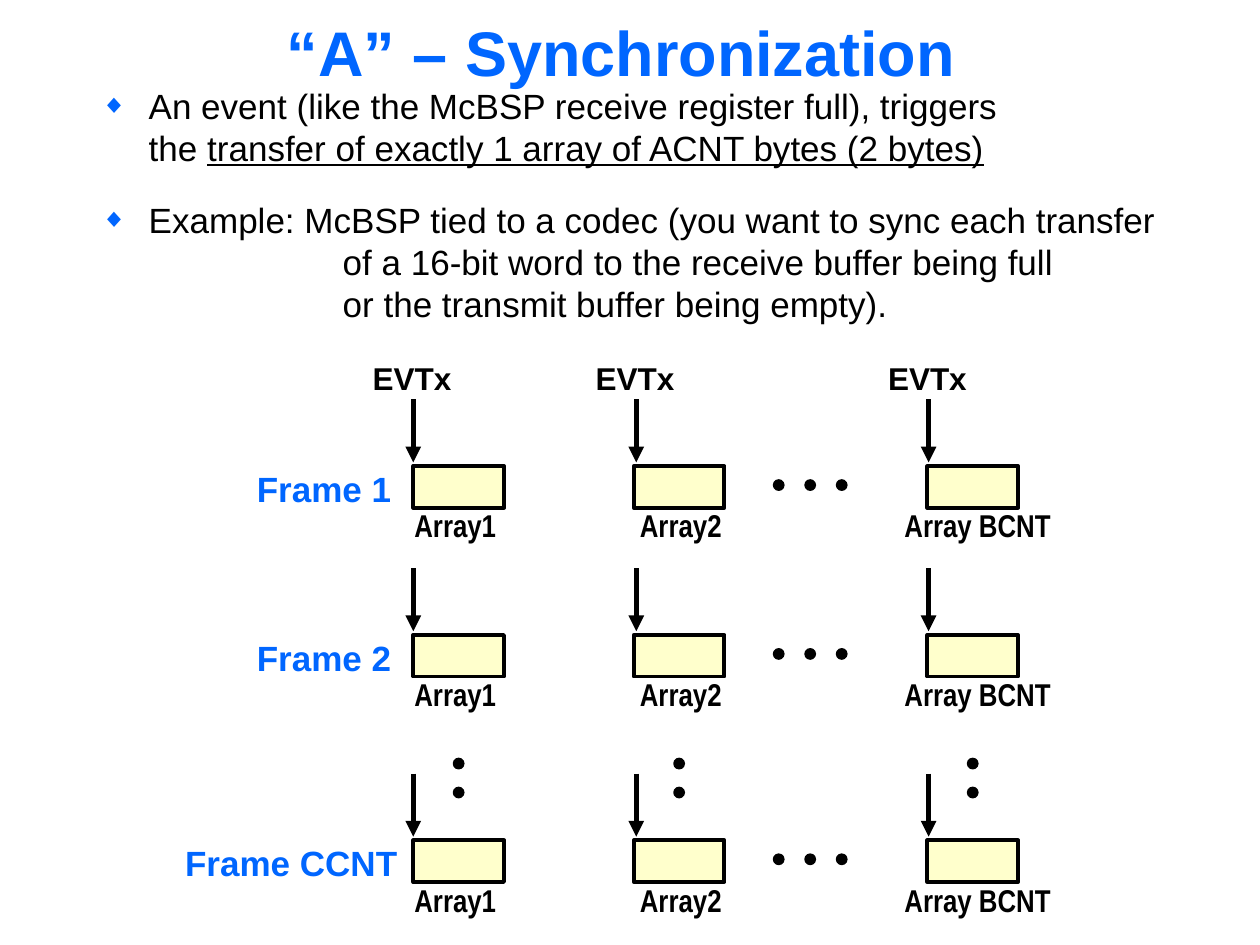
import pptx
import pptx.util
import pptx.dml.color
import pptx.enum.shapes
import pptx.enum.text
import pptx.oxml.ns
from lxml import etree

Inches, Pt = pptx.util.Inches, pptx.util.Pt
SHAPES = pptx.enum.shapes.MSO_SHAPE
COLORS = {"blue": "0066FF", "black": "000000", "cell": "FFFFCC"}

# Grid: (box left, arrow x, label left, label width, label)
COLUMNS = [
    (3.28, 3.28, 3.19, 0.99, "Array1"),
    (5.03, 5.05, 4.98, 0.99, "Array2"),
    (7.36, 7.37, 7.08, 1.50, "Array BCNT"),
]
# (box top, label left, label width, label)
ROWS = [
    (3.70, 1.94, 1.27, "Frame 1"),
    (5.04, 1.94, 1.27, "Frame 2"),
    (6.67, 1.37, 1.89, "Frame CCNT"),
]
BOX_WIDTH, BOX_HEIGHT = 0.72, 0.33
ARROW_RISE, ARROW_LENGTH = 0.53, 0.50
DOT = 0.08


def color(name):
    return pptx.dml.color.RGBColor.from_string(COLORS[name])


def add_xml(parent, tag, **attributes):
    return etree.SubElement(parent, pptx.oxml.ns.qn(tag), attributes)


def place(shape, left, top, width, height):
    shape.left, shape.top = Inches(left), Inches(top)
    shape.width, shape.height = Inches(width), Inches(height)


def add_run(paragraph, text, size, color_name="black", bold=False,
            font="Arial", underline=False):
    run = paragraph.add_run()
    run.text = text
    run.font.name, run.font.size = font, Pt(size)
    run.font.bold, run.font.underline = bold, underline
    run.font.color.rgb = color(color_name)


def add_label(slide, text, left, top, width, height, size,
              color_name="black", font="Arial", spacing=1.0):
    box = slide.shapes.add_textbox(
        Inches(left), Inches(top), Inches(width), Inches(height))
    box.text_frame.word_wrap = False
    paragraph = box.text_frame.paragraphs[0]
    paragraph.line_spacing = spacing
    add_run(paragraph, text, size, color_name, True, font)


def add_solid(slide, kind, left, top, width, height, fill, line_width):
    shape = slide.shapes.add_shape(
        kind, Inches(left), Inches(top), Inches(width), Inches(height))
    shape.shadow.inherit = False
    shape.fill.solid()
    shape.fill.fore_color.rgb = color(fill)
    shape.line.color.rgb = color("black")
    shape.line.width = Pt(line_width)


def add_dot(slide, left, top):
    add_solid(slide, SHAPES.OVAL, left, top, DOT, DOT, "black", 1)


def add_arrow(slide, x, top):
    arrow = slide.shapes.add_connector(
        pptx.enum.shapes.MSO_CONNECTOR.STRAIGHT,
        Inches(x), Inches(top), Inches(x), Inches(top + ARROW_LENGTH))
    arrow.line.color.rgb = color("black")
    arrow.line.width = Pt(3)
    add_xml(arrow.line._get_or_add_ln(), "a:tailEnd", type="triangle")
    add_xml(arrow._element.spPr, "a:effectLst")


def format_item(paragraph, margin, hanging, bullet, space_before=0):
    """Set the indent, spacing and bullet of one list paragraph."""
    properties = paragraph._p.get_or_add_pPr()
    properties.set("marL", str(Inches(margin)))
    properties.set("indent", str(-Inches(hanging)))
    paragraph.space_before = Pt(space_before)
    if bullet:
        bullet_color = add_xml(properties, "a:buClr")
        add_xml(bullet_color, "a:srgbClr", val=COLORS["blue"])
        add_xml(properties, "a:buSzPct", val="75000")
        add_xml(properties, "a:buFont", typeface="Arial")
        add_xml(properties, "a:buChar", char="◆")
    else:
        add_xml(properties, "a:buNone")


def fill_title(title):
    place(title, 0, 0, 9.86, 0.81)
    frame = title.text_frame
    frame.vertical_anchor = pptx.enum.text.MSO_ANCHOR.MIDDLE
    paragraph = frame.paragraphs[0]
    paragraph.alignment = pptx.enum.text.PP_ALIGN.CENTER
    add_run(paragraph, "“A” – Synchronization", 36, "blue", True)


def fill_body(body):
    place(body, 0.7, 0.62, 8.9, 2.01)
    frame = body.text_frame
    frame.word_wrap = True
    frame.auto_size = pptx.enum.text.MSO_AUTO_SIZE.NONE
    frame.vertical_anchor = pptx.enum.text.MSO_ANCHOR.TOP

    event = frame.paragraphs[0]
    format_item(event, 0.38, 0.38, True)
    add_run(event, "An event (like the McBSP receive register full), triggers", 20)
    event.add_line_break()
    add_run(event, "the ", 20)
    add_run(event, "transfer of exactly 1 array of ACNT bytes (2 bytes)", 20,
            underline=True)

    example = frame.add_paragraph()
    format_item(example, 0.38, 0.38, True, 17)
    add_run(example,
            "Example: McBSP tied to a codec (you want to sync each transfer", 20)

    detail = frame.add_paragraph()
    format_item(detail, 1.92, 0, False)
    add_run(detail, "of a 16-bit word to the receive buffer being full", 20)
    detail.add_line_break()
    add_run(detail, "or the transmit buffer being empty).", 20)


def add_frame_row(slide, top, label_left, label_width, label):
    add_label(slide, label, label_left, top - 0.04, label_width, 0.43, 20, "blue")
    for box_left, arrow_x, array_left, array_width, array in COLUMNS:
        add_arrow(slide, arrow_x, top - ARROW_RISE)
        add_solid(slide, SHAPES.RECTANGLE, box_left, top,
                  BOX_WIDTH, BOX_HEIGHT, "cell", 2.25)
        add_label(slide, array, array_left, top + 0.27, array_width, 0.4, 18,
                  font="Arial Narrow")
    # Arrays left out between the second and the last
    for index in range(3):
        add_dot(slide, 6.14 + 0.25 * index, top + 0.11)


def main():
    presentation = pptx.Presentation()
    presentation.slide_width, presentation.slide_height = Inches(10), Inches(7.5)
    slide = presentation.slides.add_slide(presentation.slide_layouts[1])
    fill_title(slide.shapes.title)
    fill_body(slide.placeholders[1])

    # Frames of arrays
    for row in ROWS:
        add_frame_row(slide, *row)

    # Event names above, and dots for the frames left out
    for box_left, arrow_x, *_ in COLUMNS:
        add_label(slide, "EVTx", arrow_x - 0.42, 2.86, 0.83, 0.34, 18, spacing=0.8)
        for top in (6.02, 6.25):
            add_dot(slide, box_left + 0.32, top)

    presentation.save("out.pptx")


if __name__ == "__main__":
    main()
